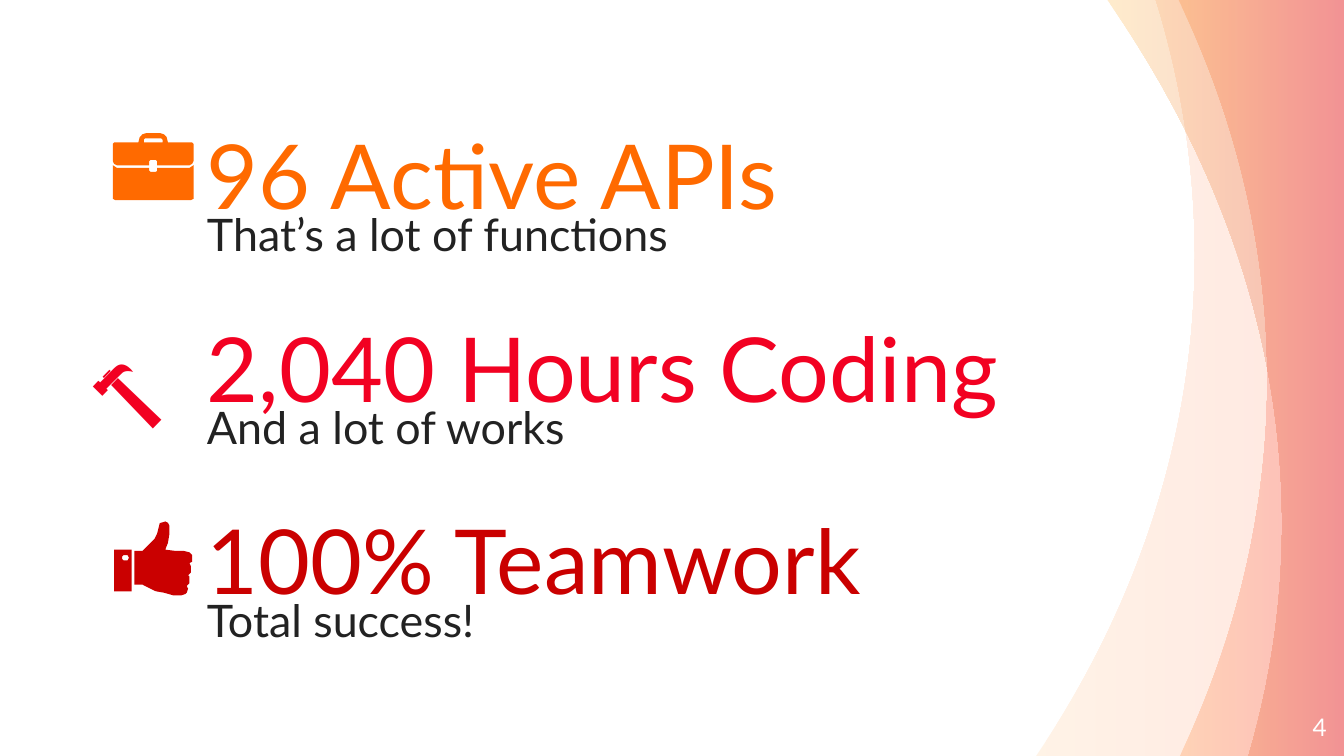
from lxml import etree
from pptx import Presentation
from pptx import util as u
from pptx.dml.color import RGBColor
from pptx.enum import text
from pptx.oxml import ns

WIDE = 10
HIGH = WIDE * 9 / 16
THEME = dict(
    font="Lato", orange="FF6A00", red="F20122", dark="CA0000",
    ink="222222", white="FFFFFF", big=48, sub=24, icon=44, page=13, alpha=20,
)
ROWS = [
    ("96 Active APIs", "That’s a lot of functions", "orange"),
    ("2,040 Hours Coding", "And a lot of works", "red"),
    ("100% Teamwork", "Total success!", "dark"),
]
LEFT, TOP, LAST = 1.54, 0.71, 3.58
PITCH = (LAST - TOP) / (len(ROWS) - 1)
SPAN, HEAD, TAIL, DROP = 6.18, 0.98, 0.51, 0.83

# Each wave: left and right colour, then points; a six-number entry is a curve.
WAVES = [
    ("FFC486", "FF866B", [(8.89, 1.9), (8.89, 1.25, 8.79, 0.61, 8.6, 0), (WIDE, 0),
                          (WIDE, HIGH), (7.71, HIGH), (8.47, 4.5, 8.89, 3.23, 8.89, 1.9)]),
    ("FF6A00", "F20122", [(9.43, 2.82), (9.43, 1.84, 9.2, 0.89, 8.77, 0), (WIDE, 0),
                          (WIDE, HIGH), (8.78, HIGH), (9.2, 4.75, 9.43, 3.8, 9.43, 2.82)]),
    ("FF9F00", "CC0000", [(9.54, 3.9), (9.54, 2.51, 9.07, 1.19, 8.24, 0), (WIDE, 0),
                          (WIDE, HIGH), (9.29, HIGH), (9.45, 5.08, 9.54, 4.5, 9.54, 3.9)]),
]
# Each icon part: colour, then one or more closed outlines.
ICONS = [
    ("dark", [  # cuff with its button
        [(0.85, 4.09), (0.85, 4.4), (0.98, 4.4), (0.98, 4.09)],
        [(0.93, 4.13), (0.95, 4.13), (0.96, 4.15), (0.95, 4.17), (0.93, 4.17),
         (0.92, 4.17), (0.91, 4.16), (0.91, 4.14), (0.92, 4.13)]]),
    ("dark", [  # hand
        [(1.23, 3.88), (1.2, 3.89), (1.19, 3.89), (1.17, 3.97), (1.15, 4.01), (1.12, 4.04),
         (1.06, 4.1), (1, 4.1), (1, 4.35), (1.06, 4.35), (1.1, 4.37), (1.16, 4.4),
         (1.22, 4.41), (1.29, 4.43), (1.35, 4.43), (1.38, 4.42), (1.39, 4.41), (1.4, 4.38),
         (1.39, 4.36), (1.41, 4.34), (1.41, 4.29), (1.4, 4.28), (1.42, 4.26), (1.42, 4.21),
         (1.41, 4.19), (1.43, 4.18), (1.43, 4.13), (1.41, 4.11), (1.37, 4.1), (1.31, 4.1),
         (1.23, 4.09), (1.25, 4.04), (1.26, 3.98), (1.26, 3.91), (1.25, 3.89)]]),
    ("orange", [  # lid with its handle
        [(1.09, 0.99), (1.06, 1), (1.04, 1.02), (1.03, 1.06), (0.85, 1.06), (0.84, 1.07),
         (0.84, 1.2), (0.85, 1.22), (0.87, 1.23), (1.11, 1.23), (1.11, 1.2), (1.12, 1.19),
         (1.16, 1.19), (1.17, 1.2), (1.17, 1.23), (1.41, 1.23), (1.43, 1.22), (1.44, 1.2),
         (1.44, 1.07), (1.43, 1.06), (1.25, 1.06), (1.24, 1.02), (1.22, 1), (1.19, 0.99)],
        [(1.08, 1.03), (1.2, 1.03), (1.21, 1.04), (1.21, 1.06), (1.07, 1.06), (1.07, 1.04)]]),
    ("orange", [  # case
        [(0.84, 1.23), (0.84, 1.48), (0.86, 1.49), (1.42, 1.49), (1.44, 1.48), (1.44, 1.23),
         (1.41, 1.25), (1.17, 1.25), (1.17, 1.27), (1.16, 1.28), (1.12, 1.28), (1.11, 1.27),
         (1.11, 1.25), (0.87, 1.25)]]),
]


def paint(name):
    return RGBColor.from_string(THEME.get(name, name))


def trace(points, steps=40):
    """Turn curve entries into short straight steps."""
    out = []
    for point in points:
        if len(point) == 2:
            out.append(point)
            continue
        ends = [out[-1], point[:2], point[2:4], point[4:]]
        for i in range(1, steps + 1):
            t = i / steps
            parts = ((1 - t) ** 3, 3 * t * (1 - t) ** 2, 3 * t * t * (1 - t), t ** 3)
            out.append(tuple(sum(w * e[k] for w, e in zip(parts, ends)) for k in (0, 1)))
    return out


def draw(slide, loops):
    loops = [[(u.Inches(x), u.Inches(y)) for x, y in loop] for loop in loops]
    pen = slide.shapes.build_freeform(*loops[0][0])
    for i, loop in enumerate(loops):
        if i:
            pen.move_to(*loop[0])
        pen.add_line_segments(loop[1:], close=True)
    shape = pen.convert_to_shape()
    shape.shadow.inherit = False
    shape.line.fill.background()
    return shape


def wash(shape, colors):
    """Fill from left to right with see-through colours."""
    shape.fill.gradient()
    shape.fill.gradient_angle = 0
    for stop, color in zip(shape.fill.gradient_stops, colors):
        stop.color.rgb = paint(color)
    for node in shape.fill._xPr.iter(ns.qn("a:srgbClr")):
        etree.SubElement(node, ns.qn("a:alpha"), val=str(THEME["alpha"] * 1000))


def write(slide, words, box, size, color, inset=0, align=None, before=None, **form):
    frame = slide.shapes.add_textbox(*map(u.Inches, box)).text_frame
    if inset is not None:
        form.update({"margin_" + side: inset for side in ("left", "right", "top", "bottom")})
    for key, value in {"word_wrap": True, **form}.items():
        setattr(frame, key, value)
    line = frame.paragraphs[0]
    line.alignment, line.space_before = align, before
    run = line.add_run()
    run.text = words
    for key, value in dict(name=THEME["font"], size=u.Pt(THEME[size])).items():
        setattr(run.font, key, value)
    run.font.color.rgb = paint(color)


def main():
    deck = Presentation()
    deck.slide_width, deck.slide_height = u.Inches(WIDE), u.Inches(HIGH)
    slide = deck.slides.add_slide(deck.slide_layouts[6])
    for first, last, points in WAVES:
        wash(draw(slide, [trace(points)]), (first, last))
    for i, (title, note, color) in enumerate(ROWS):
        top = TOP + i * PITCH
        write(slide, title, (LEFT, top, SPAN, HEAD), "big", color,
              vertical_anchor=text.MSO_ANCHOR.BOTTOM)
        write(slide, note, (LEFT, top + DROP, SPAN, TAIL), "sub", "ink", before=u.Pt(6))
    write(slide, "4", (9.27, 5.19, 0.6, 0.43), "page", "white",
          align=text.PP_ALIGN.RIGHT, vertical_anchor=text.MSO_ANCHOR.MIDDLE)
    for color, loops in ICONS:
        shape = draw(slide, loops)
        shape.fill.solid()
        shape.fill.fore_color.rgb = paint(color)
    write(slide, "🔨", (0.57, 2.48, 0.98, 0.84), "icon", "red", inset=None)
    deck.save("out.pptx")


if __name__ == "__main__":
    main()
